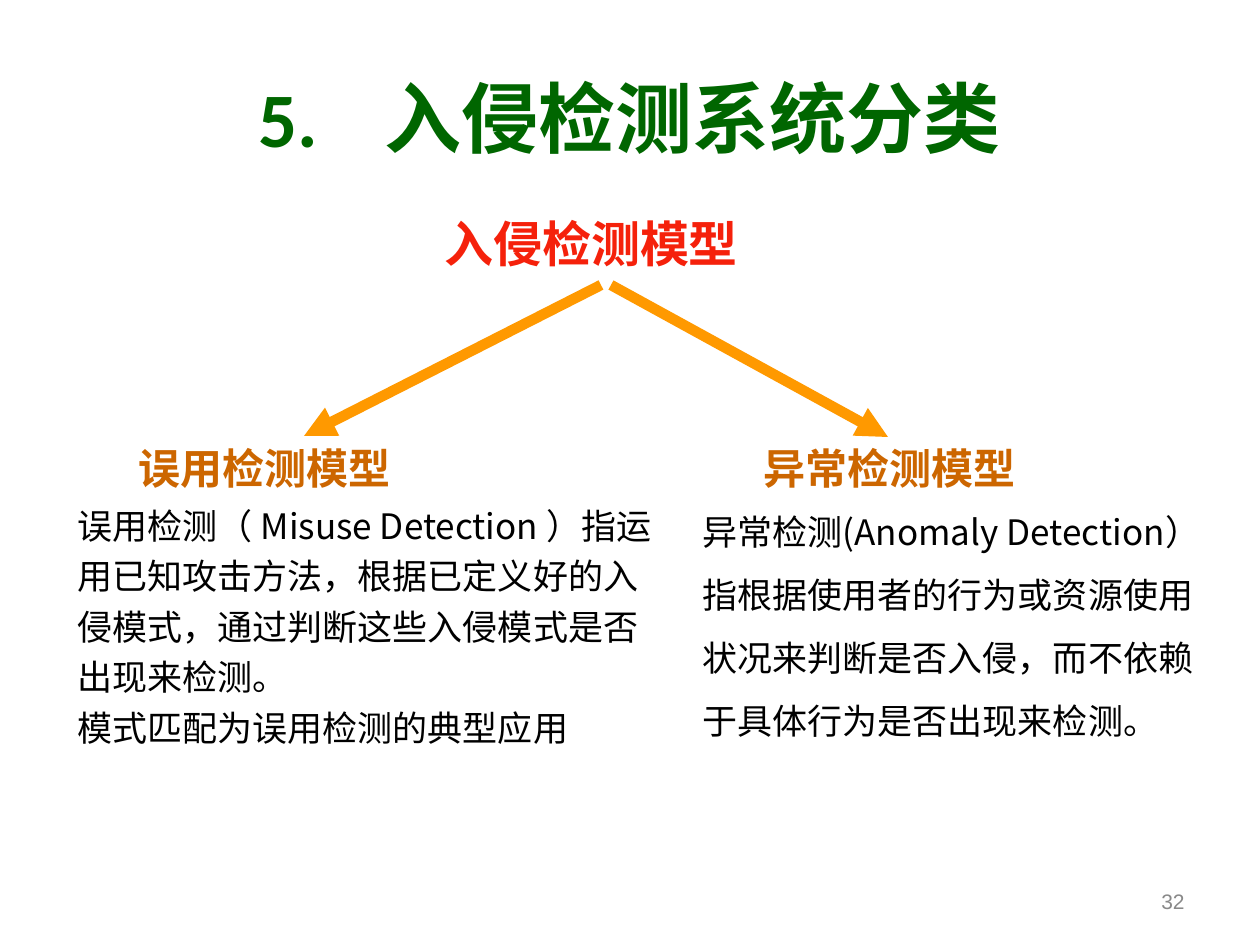
from lxml.etree import SubElement
from pptx import Presentation
from pptx.dml.color import RGBColor
from pptx.enum.shapes import MSO_CONNECTOR
from pptx.enum.text import MSO_ANCHOR, MSO_AUTO_SIZE, PP_ALIGN
from pptx.oxml.ns import qn
from pptx.util import Inches, Pt

SCALE = 914400 / 126
CJK = "Noto Sans CJK SC"
COLORS = {
    "title": "006600",
    "root": "F5210B",
    "heading": "CC6600",
    "body": "000000",
    "arrow": "FF9900",
    "number": "898989",
}


def px(n):
    return round(n * SCALE)


def add_tabs(p):
    tabs = SubElement(p._p.get_or_add_pPr(), qn("a:tabLst"))
    for inch in range(8):
        SubElement(tabs, qn("a:tab"), pos=str(Inches(inch)), algn="l")


def add_text(s, box, paragraphs, color, size, font=CJK, bold=False,
             align=PP_ALIGN.LEFT, spacing=None, wrap=True, middle=False):
    tf = s.shapes.add_textbox(*map(px, box)).text_frame
    tf.word_wrap = wrap
    if middle:
        tf.vertical_anchor = MSO_ANCHOR.MIDDLE
    else:
        tf.auto_size = MSO_AUTO_SIZE.SHAPE_TO_FIT_TEXT
    tf.text = "\n".join(paragraphs)
    for p in tf.paragraphs:
        p.alignment = align
        if spacing:
            p.line_spacing = spacing
        if "\t" in p.text:
            add_tabs(p)
        p.font.name = font
        p.font.size = Pt(size)
        p.font.bold = bold
        p.font.color.rgb = RGBColor.from_string(COLORS[color])
        SubElement(p.font._element, qn("a:ea"), typeface=CJK)


def add_arrow(s, x1, y1, x2, y2):
    line = s.shapes.add_connector(MSO_CONNECTOR.STRAIGHT, *map(px, (x1, y1, x2, y2)))
    line.line.color.rgb = RGBColor.from_string(COLORS["arrow"])
    line.line.width = Pt(6)
    SubElement(line.line._get_or_add_ln(), qn("a:tailEnd"), type="triangle")
    SubElement(line._element.spPr, qn("a:effectLst"))


def add_title(s, x, y, w, h):
    add_text(s, (x, y, w, h), ["5.\t入侵检测系统分类"], "title", 44, "Calibri",
             bold=True, align=PP_ALIGN.CENTER, middle=True)


def add_root(s, x, y, w, h):
    add_text(s, (x, y, w, h), ["入侵检测模型"], "root", 28, "Times New Roman", bold=True)
    add_arrow(s, x + 169, y + 78, x - 128, y + 229)
    add_arrow(s, x + 179, y + 78, x + 456, y + 230)


def add_model(s, x, y, w, h, heading, paragraphs, spacing, gap):
    add_text(s, (x + 61, y, 277, 63), [heading], "heading", 24, bold=True,
             align=PP_ALIGN.CENTER, wrap=False)
    add_text(s, (x, y + gap, w, h - gap), paragraphs, "body", 20, spacing=spacing)


def add_number(s, x, y, w, h):
    add_text(s, (x, y, w, h), ["32"], "number", 12, "Arial",
             align=PP_ALIGN.RIGHT, middle=True)


def main():
    prs = Presentation()
    prs.slide_width, prs.slide_height = px(1260), px(945)
    s = prs.slides.add_slide(prs.slide_layouts[6])
    add_title(s, 63, 38, 1134, 157)
    add_root(s, 432, 207, 388, 72)
    add_model(s, 65, 436, 606, 319, "误用检测模型", [
        "误用检测（ Misuse Detection ）指运用已知攻击方法，根据已定义好的入侵模式，通过判断这些入侵模式是否出现来检测。",
        "模式匹配为误用检测的典型应用",
    ], 1.2, 54)
    add_model(s, 690, 436, 525, 374, "异常检测模型", [
        "异常检测(Anomaly Detection）指根据使用者的行为或资源使用状况来判断是否入侵，而不依赖于具体行为是否出现来检测。",
    ], 1.5, 47)
    add_number(s, 903, 876, 294, 50)
    prs.save("out.pptx")


if __name__ == "__main__":
    main()
